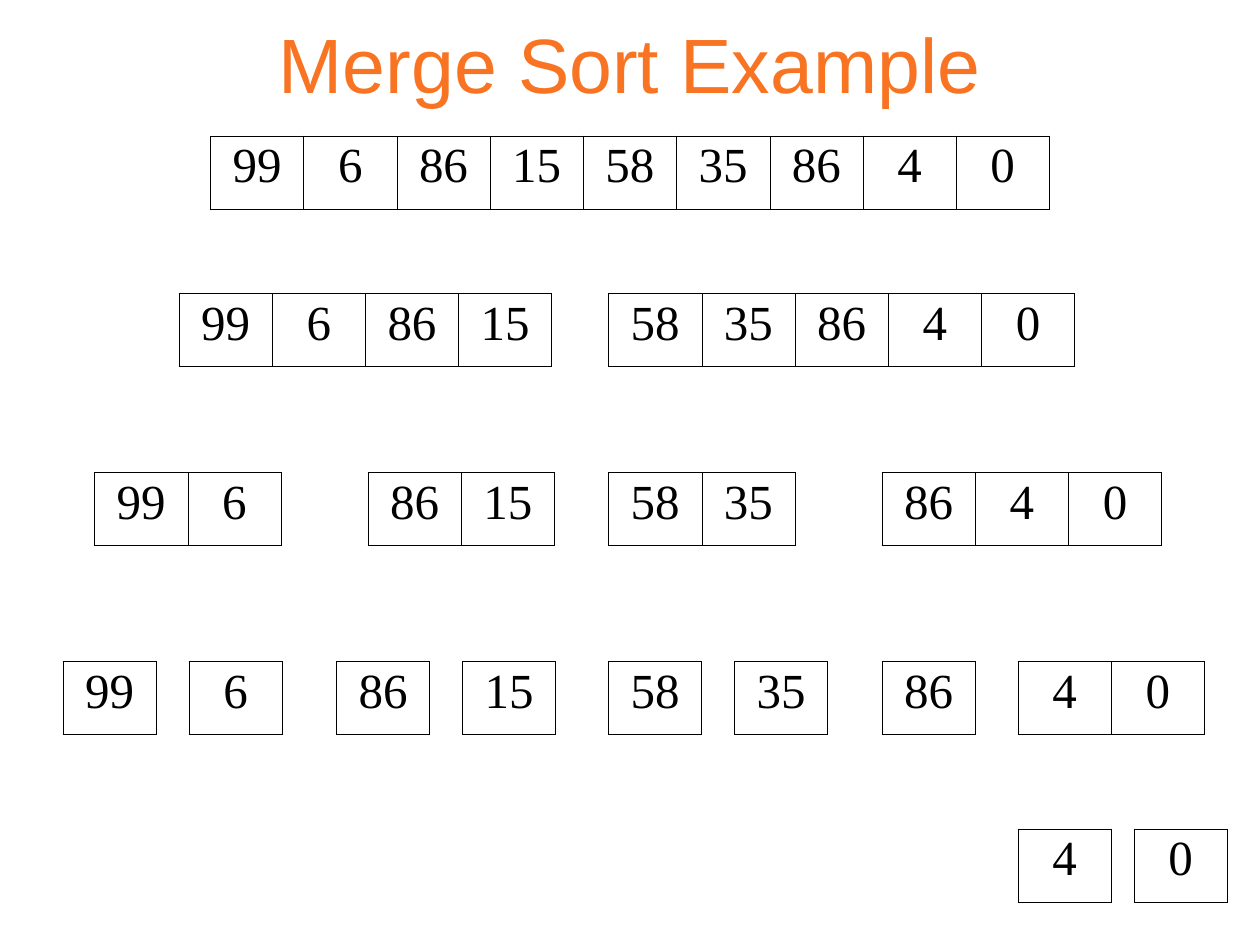
from dataclasses import dataclass

from lxml import etree
from pptx import Presentation
from pptx.dml.color import RGBColor
from pptx.enum.text import MSO_ANCHOR, PP_ALIGN
from pptx.oxml.ns import qn
from pptx.util import Inches, Pt

CENTER = PP_ALIGN.CENTER
MIDDLE = MSO_ANCHOR.MIDDLE
TOP = MSO_ANCHOR.TOP

ORANGE, BLACK = "F87422", "000000"
CELL_W, CELL_H = 0.74, 0.58
OUTER, INNER = 0.5, 0.23  # border widths in points
VALUES = [99, 6, 86, 15, 58, 35, 86, 4, 0]


@dataclass
class Part:
    """A stretch of VALUES, from start up to end, placed at left."""
    left: float
    start: int
    end: int


# Top of each level, with the parts the list is split into
LEVELS = [
    (1.08, [Part(1.67, 0, 9)]),
    (2.33, [Part(1.42, 0, 4), Part(4.83, 4, 9)]),
    (3.75, [Part(0.75, 0, 2), Part(2.92, 2, 4), Part(4.83, 4, 6),
            Part(7, 6, 9)]),
    (5.25, [Part(0.5, 0, 1), Part(1.5, 1, 2), Part(2.67, 2, 3),
            Part(3.67, 3, 4), Part(4.83, 4, 5), Part(5.83, 5, 6),
            Part(7, 6, 7), Part(8.08, 7, 9)]),
    (6.58, [Part(8.08, 7, 8), Part(9, 8, 9)]),
]


def color(code: str) -> RGBColor:
    return RGBColor.from_string(code)


def add_run(para, text: str, face: str, size: float, code: str) -> None:
    run = para.add_run()
    run.text = text
    run.font.name = face
    run.font.size = Pt(size)
    run.font.color.rgb = color(code)


def set_edges(cell, widths: dict[str, float]) -> None:
    """Draw cell borders; they must come before the fill in the XML."""
    props = cell._tc.get_or_add_tcPr()
    for spot, (side, width) in enumerate(widths.items()):
        line = etree.Element(qn(f"a:ln{side}"), w=str(Pt(width)))
        fill = etree.SubElement(line, qn("a:solidFill"))
        etree.SubElement(fill, qn("a:srgbClr"), val=BLACK)
        props.insert(spot, line)


def add_part(slide, part: Part, top: float) -> None:
    values = VALUES[part.start:part.end]
    count = len(values)
    table = slide.shapes.add_table(
        1, count, Inches(part.left), Inches(top),
        Inches(CELL_W * count), Inches(CELL_H)).table
    table.first_row = table.horz_banding = False
    for i, value in enumerate(values):
        table.columns[i].width = Inches(CELL_W)
        cell = table.cell(0, i)
        cell.fill.background()
        cell.vertical_anchor = TOP
        cell.margin_left = cell.margin_right = Inches(0.1)
        cell.margin_top = cell.margin_bottom = Inches(0.05)
        para = cell.text_frame.paragraphs[0]
        para.alignment = CENTER
        para.line_spacing = 0.93
        add_run(para, str(value), "Times New Roman", 28, BLACK)
        set_edges(cell, {
            "L": OUTER if i == 0 else INNER,
            "R": OUTER if i == count - 1 else INNER,
            "T": OUTER,
            "B": OUTER,
        })


def add_title(slide, text: str) -> None:
    title = slide.shapes.title
    title.left, title.top = Inches(0.75), Inches(0)
    title.width, title.height = Inches(8.5), Inches(1)
    frame = title.text_frame
    frame.vertical_anchor = MIDDLE
    para = frame.paragraphs[0]
    para.alignment = CENTER
    add_run(para, text, "Arial", 44, ORANGE)


def main() -> None:
    deck = Presentation()
    deck.slide_width, deck.slide_height = Inches(10), Inches(7.5)
    slide = deck.slides.add_slide(deck.slide_layouts[5])

    add_title(slide, "Merge Sort Example")

    # Splitting steps, from the whole list down to single values
    for top, parts in LEVELS:
        for part in parts:
            add_part(slide, part, top)

    deck.save("out.pptx")


if __name__ == "__main__":
    main()
